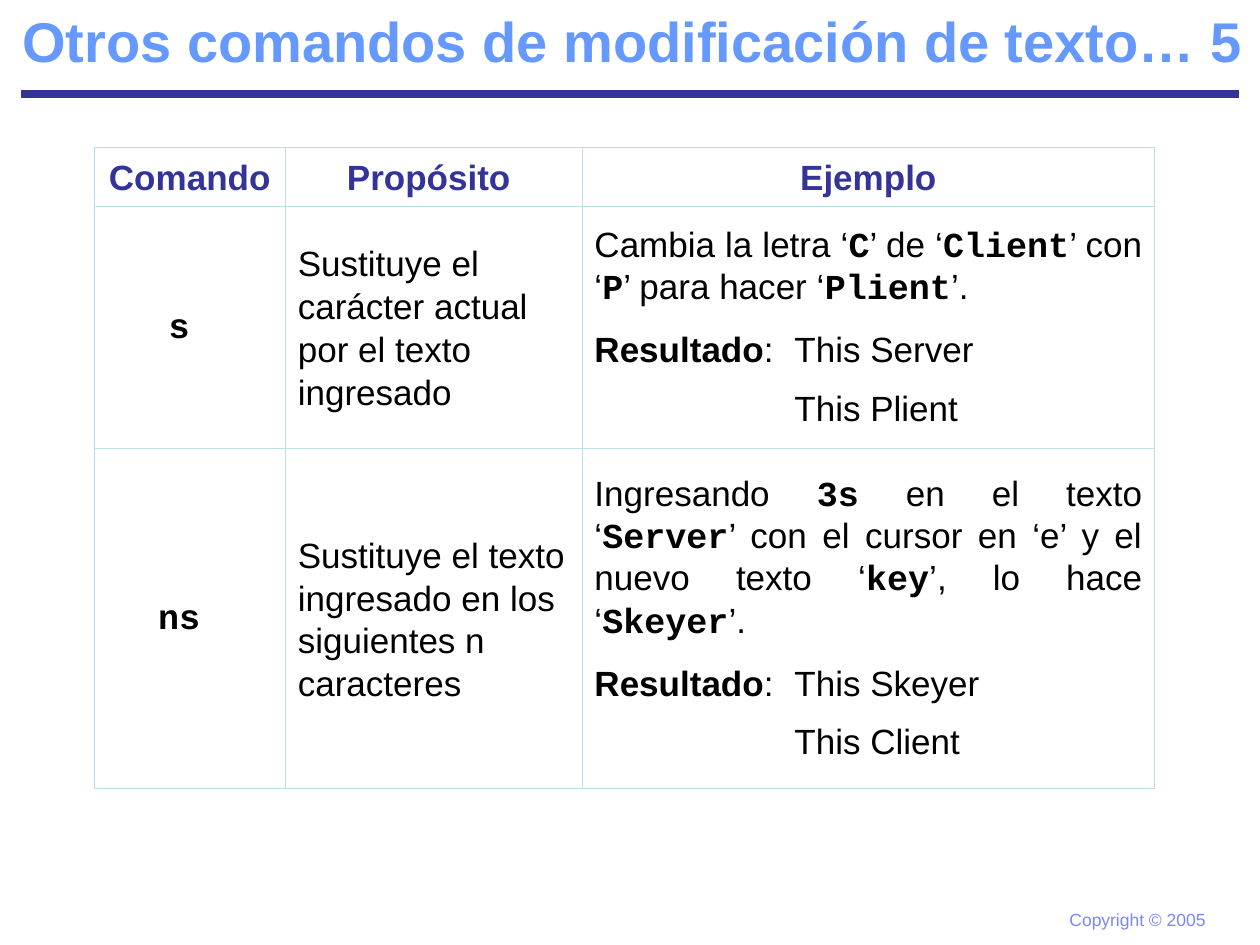
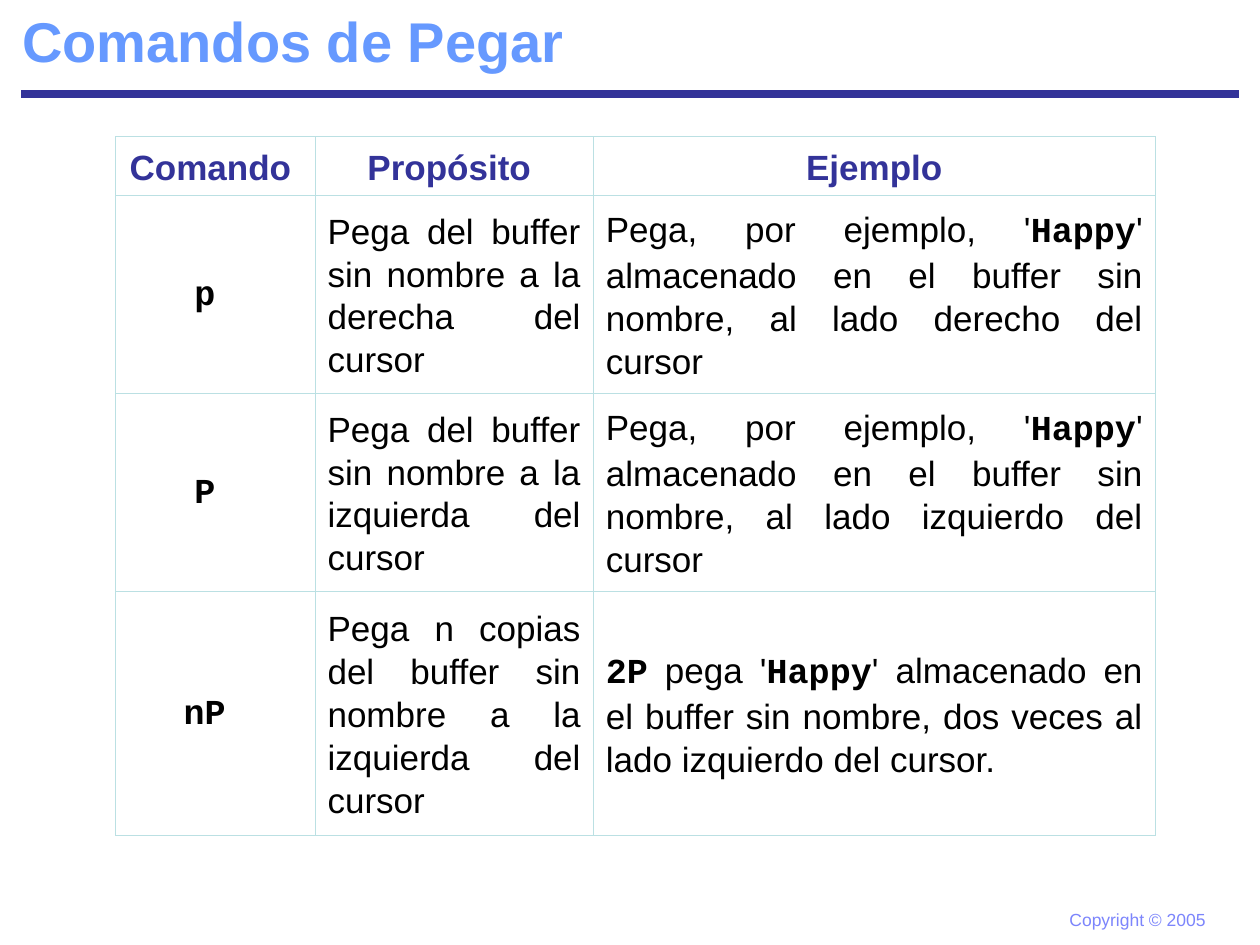
from lxml.etree import SubElement
from pptx import Presentation
from pptx.dml.color import RGBColor
from pptx.enum.shapes import MSO_CONNECTOR
from pptx.enum.text import MSO_ANCHOR, PP_ALIGN
from pptx.oxml.ns import qn
from pptx.util import Cm, Pt

NAVY = RGBColor(0x33, 0x33, 0x99)
SKY = RGBColor(0x66, 0x99, 0xFF)
LAVENDER = RGBColor(0x7C, 0x85, 0xFC)
PALE_TEAL = RGBColor(0xBB, 0xE0, 0xE3)
BLACK = RGBColor(0, 0, 0)
BODY_FONT = "Arial"
CODE_FONT = "Courier New"
RESULT_INDENT = Cm(4.03)

HEADERS = ["Comando ", "Propósito ", "Ejemplo"]

# Backquotes enclose the words set in the code font.
SUBSTITUTE_ROWS = [
    ("s ", "Sustituye el carácter actual por el texto ingresado",
     "Cambia la letra ‘`C`’ de ‘`Client`’ con ‘`P`’ para hacer ‘`Plient`’.",
     ("This Server", "This Plient")),
    ("ns ", "Sustituye el texto ingresado en los siguientes n caracteres",
     "Ingresando `3s` en el texto ‘`Server`’ con el cursor en ‘e’ y el nuevo "
     "texto ‘`key`’, lo hace ‘`Skeyer`’.",
     ("This Skeyer", "This Client")),
]
PASTE_ROWS = [
    ("p ", "Pega del buffer sin nombre a la derecha del cursor",
     "Pega, por ejemplo, '`Happy`' almacenado en el buffer sin nombre, "
     "al lado derecho del cursor", ()),
    ("P ", "Pega del buffer sin nombre a la izquierda del cursor",
     "Pega, por ejemplo, '`Happy`' almacenado en el buffer sin nombre, "
     "al lado izquierdo del cursor", ()),
    ("nP ", "Pega n copias del buffer sin nombre a la izquierda del cursor",
     "`2P` pega '`Happy`' almacenado en el buffer sin nombre, dos veces "
     "al lado izquierdo del cursor.", ()),
]


def set_font(font, size, color, name=BODY_FONT, bold=False):
    font.size, font.name, font.bold = Pt(size), name, bold
    font.color.rgb = color


def add_span(para, text, name=BODY_FONT, bold=False):
    span = para.add_run()
    span.text = text
    span.font.name, span.font.bold = name, bold


def add_marked_text(para, text):
    """Write text whose backquoted parts are bold code."""
    for index, part in enumerate(text.split("`")):
        if part:
            is_code = index % 2 == 1
            add_span(para, part, CODE_FONT if is_code else BODY_FONT, is_code)


def add_text_box(page, text, left, top, width, height, size, color,
                 bold=False, wrap=True):
    box = page.shapes.add_textbox(Cm(left), Cm(top), Cm(width), Cm(height))
    box.text_frame.word_wrap = wrap
    para = box.text_frame.paragraphs[0]
    para.text = text
    set_font(para.font, size, color, bold=bold)


def add_page(deck, title):
    """Add a page with its title, the rule below it and the footer."""
    page = deck.slides.add_slide(deck.slide_layouts[6])
    rule = page.shapes.add_connector(MSO_CONNECTOR.STRAIGHT,
                                     Cm(0.43), Cm(1.9), Cm(24.97), Cm(1.9))
    rule.line.color.rgb = NAVY
    rule.line.width = Pt(4.5)
    SubElement(rule.element.spPr, qn("a:effectLst"))
    add_text_box(page, "Copyright © 2005", 21.31, 18.21, 3.25, 0.69,
                 10, LAVENDER, wrap=False)
    add_text_box(page, title, 0.2, 0, 25.2, 1.7, 32, SKY, bold=True)
    return page


def style_cell(cell):
    cell.vertical_anchor = MSO_ANCHOR.MIDDLE
    properties = cell._tc.get_or_add_tcPr()
    for side in ("a:lnL", "a:lnR", "a:lnT", "a:lnB"):
        border = SubElement(properties, qn(side), w=str(Pt(0.45)))
        fill = SubElement(border, qn("a:solidFill"))
        SubElement(fill, qn("a:srgbClr"), val=str(PALE_TEAL))
    cell.fill.background()


def fill_plain_cell(cell, text, align, color=BLACK, name=BODY_FONT, bold=False):
    para = cell.text_frame.paragraphs[0]
    para.text = text
    para.alignment = align
    para.line_spacing = 1.1
    set_font(para.font, 20, color, name, bold)


def add_results(frame, before, after):
    """Show the line before and after the command, aligned on one indent."""
    first = frame.add_paragraph()
    first.space_before = first.space_after = Pt(6)
    tabs = SubElement(first._p.get_or_add_pPr(), qn("a:tabLst"))
    SubElement(tabs, qn("a:tab"), pos=str(RESULT_INDENT), algn="l")
    first.font.size, first.font.color.rgb = Pt(20), BLACK
    add_span(first, "Resultado", bold=True)
    add_span(first, ":\t" + before)

    second = frame.add_paragraph()
    second.text = after
    second.space_before = Pt(5)
    second._p.get_or_add_pPr().set("marL", str(RESULT_INDENT))
    set_font(second.font, 20, BLACK)


def fill_example_cell(cell, text, results):
    para = cell.text_frame.paragraphs[0]
    para.alignment = PP_ALIGN.JUSTIFY
    para.font.size, para.font.color.rgb = Pt(20), BLACK
    add_marked_text(para, text)
    if results:
        para.space_after = Pt(6)
        add_results(cell.text_frame, *results)
    else:
        para.line_spacing = 1.1


def add_command_table(page, left, top, widths, heights, rows, purpose_align):
    table = page.shapes.add_table(
        len(heights), len(widths), Cm(left), Cm(top),
        Cm(sum(widths)), Cm(sum(heights))).table
    table.first_row = table.horz_banding = False
    for column, width in zip(table.columns, widths):
        column.width = Cm(width)
    for row, height in zip(table.rows, heights):
        row.height = Cm(height)
    for cell in table.iter_cells():
        style_cell(cell)

    for column, header in enumerate(HEADERS):
        fill_plain_cell(table.cell(0, column), header, PP_ALIGN.CENTER,
                        NAVY, bold=True)
    for row, (command, purpose, example, results) in enumerate(rows, 1):
        fill_plain_cell(table.cell(row, 0), command, PP_ALIGN.CENTER,
                        name=CODE_FONT, bold=True)
        fill_plain_cell(table.cell(row, 1), purpose, purpose_align)
        fill_example_cell(table.cell(row, 2), example, results)


def main():
    deck = Presentation()
    deck.slide_width, deck.slide_height = Cm(25.4), Cm(19.05)

    page = add_page(deck, "Otros comandos de modificación de texto… 5")
    add_command_table(page, 1.9, 2.97, [3.85, 5.98, 11.55],
                      [1.19, 4.87, 6.87], SUBSTITUTE_ROWS, PP_ALIGN.LEFT)

    page = add_page(deck, "Comandos de Pegar")
    add_command_table(page, 2.33, 2.75, [4.02, 5.61, 11.33],
                      [1.19, 3.99, 3.99, 4.92], PASTE_ROWS, PP_ALIGN.JUSTIFY)

    deck.save("out.pptx")


if __name__ == "__main__":
    main()
